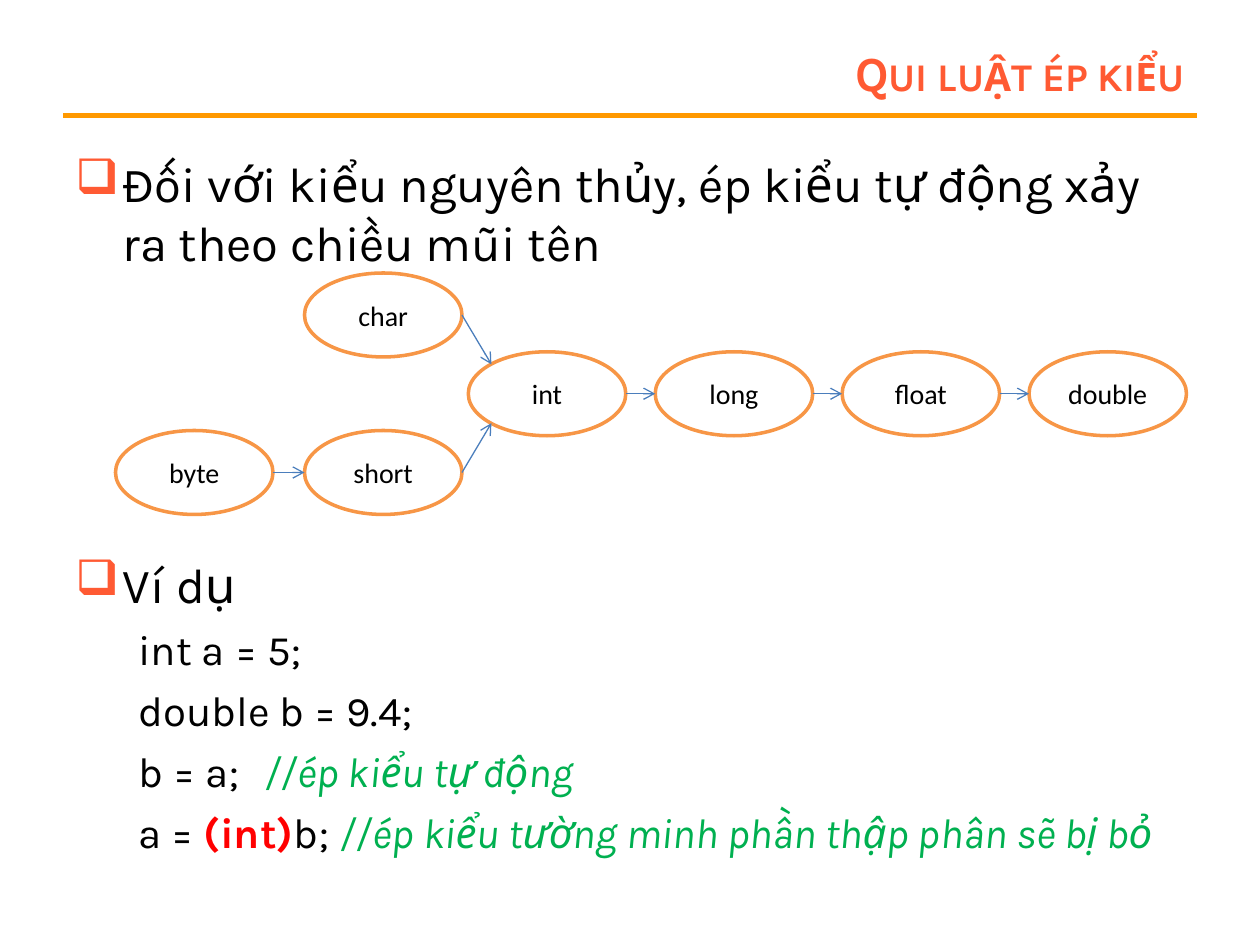
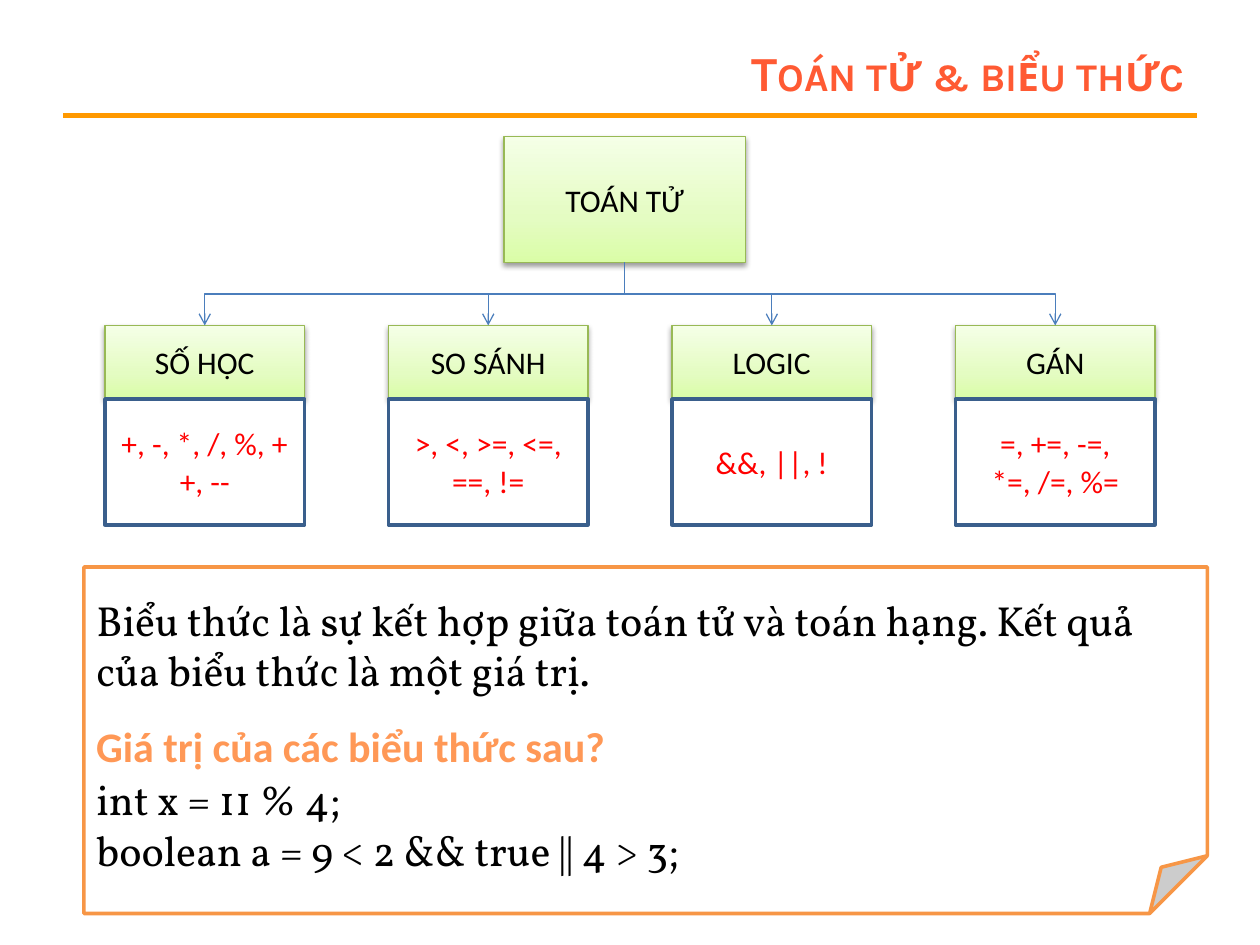
from dataclasses import dataclass
from math import sqrt
from lxml import etree
from pptx import Presentation
from pptx import util as u
from pptx.dml import color
from pptx.enum import shapes, text
from pptx.oxml import ns

SCALE = 7620
WIDE, HIGH = 1200, 900
BLACK, WHITE, RED, GREEN = "000000", "FFFFFF", "FF0000", "00B050"
CORAL, GOLD, ORANGE, BLUE = "FF5A33", "FF9900", "F79646", "4B7EBC"
LIME, NAVY = "98B955", "3A5F8C"
LEAF = [(0, "DAFDA7"), (35, "E4FCC2"), (100, "F5FFE7")]
AMBER = [(0, "9D4700"), (78, "FF9856"), (100, "FFF5F1")]
SANS, HEAD, SERIF = "Calibri", "Karla", "Vollkorn"
KIND = shapes.MSO_SHAPE
LINK = shapes.MSO_CONNECTOR
ALIGN = text.PP_ALIGN
MID = text.MSO_ANCHOR.MIDDLE


@dataclass(frozen=True)
class Box:
    x: int
    y: int
    w: int
    h: int

    def spot(self, across: float, down: float) -> tuple[int, int]:
        return (round(self.x + self.w * (1 + across) / 2),
                round(self.y + self.h * (1 + down) / 2))


@dataclass(frozen=True)
class Bit:
    words: str
    tint: str = BLACK
    bold: bool = False
    slant: bool = False


@dataclass(frozen=True)
class Para:
    bits: tuple[Bit, ...]
    size: int = 24
    bullet: bool = False
    space: int = 6
    tab: int = 0


@dataclass(frozen=True)
class Node:
    name: str
    box: Box


@dataclass(frozen=True)
class Group:
    name: str
    signs: str


def px(n: int) -> int:
    return u.Emu(n * SCALE)


def rgb(code: str) -> color.RGBColor:
    return color.RGBColor.from_string(code)


def add_tag(host, name: str, **attrs):
    return etree.SubElement(host, ns.qn(name), attrs)


def style(run, size: int, font: str, tint: str = BLACK,
          bold: bool = False, slant: bool = False) -> None:
    f = run.font
    f.size, f.name, f.bold, f.italic = u.Pt(size), font, bold, slant
    f.color.rgb = rgb(tint)


def blend(fill, host, stops: list[tuple[int, str]], angle: int) -> None:
    fill.gradient()
    fill.gradient_angle = angle
    ramp = next(host.iter(ns.qn("a:gsLst")))
    for stop in list(ramp):
        ramp.remove(stop)
    for pos, tint in stops:
        stop = add_tag(ramp, "a:gs", pos=str(pos * 1000))
        add_tag(stop, "a:srgbClr", val=tint)


def draw(slide, kind, box: Box, edge: str, width: float, words: str = "",
         size: int = 18, tint: str = BLACK):
    shape = slide.shapes.add_shape(kind, px(box.x), px(box.y), px(box.w), px(box.h))
    shape.shadow.inherit = False
    shape.fill.solid()
    shape.fill.fore_color.rgb = rgb(WHITE)
    shape.line.color.rgb = rgb(edge)
    shape.line.width = u.Pt(width)
    if words:
        frame = shape.text_frame
        frame.word_wrap = True
        frame.vertical_anchor = MID
        frame.text = words
        para = frame.paragraphs[0]
        para.alignment = ALIGN.CENTER
        style(para.runs[0], size, SANS, tint)
    return shape


def leaf(slide, box: Box, words: str) -> None:
    shape = draw(slide, KIND.RECTANGLE, box, LIME, 0.75, words)
    props = shape.element.spPr
    blend(shape.fill, props, LEAF, 90)
    shade = add_tag(props.find(ns.qn("a:effectLst")), "a:outerShdw",
                    blurRad=str(u.Pt(3.1)), dist=str(u.Pt(1.6)),
                    dir="5400000", rotWithShape="0")
    tint = add_tag(shade, "a:srgbClr", val=BLACK)
    add_tag(tint, "a:alpha", val="38000")


def join(slide, start: tuple[int, int], end: tuple[int, int], kind=LINK.STRAIGHT,
         tint: str = BLUE, width: float = 0.75, head: bool = True):
    line = slide.shapes.add_connector(kind, *map(px, start + end))
    line.line.color.rgb = rgb(tint)
    line.line.width = u.Pt(width)
    props = line.element.spPr
    if head:
        add_tag(props.find(ns.qn("a:ln")), "a:tailEnd", type="arrow")
    add_tag(props, "a:effectLst")
    return line


def branch(slide, start: tuple[int, int], end: tuple[int, int]) -> None:
    (x1, y1), (x2, y2) = start, end
    mid_x, mid_y = (x1 + x2) // 2, (y1 + y2) // 2
    rise, reach = (y2 - y1) // 2, abs(x2 - x1) // 2
    side = 1 if x2 < x1 else -1
    line = join(slide, (mid_x - side * rise, mid_y - reach),
                (mid_x + side * rise, mid_y + reach), LINK.ELBOW)
    turn = 5400000 if side == 1 else 16200000
    line.element.spPr.find(ns.qn("a:xfrm")).set("rot", str(turn))


def note(slide, box: Box, words: str, size: int, font: str, wrap: bool = True,
         align=ALIGN.LEFT, tint: str = BLACK, bold: bool = False):
    shape = slide.shapes.add_textbox(px(box.x), px(box.y), px(box.w), px(box.h))
    frame = shape.text_frame
    frame.text = words
    frame.word_wrap = wrap
    for para in frame.paragraphs:
        para.alignment = align
        for run in para.runs:
            style(run, size, font, tint, bold)
    return frame


def start(deck, title: str):
    slide = deck.slides.add_slide(deck.slide_layouts[6])
    join(slide, (60, 110), (1140, 110), tint=GOLD, width=3, head=False)
    frame = note(slide, Box(270, 36, 870, 64), title, 28, HEAD,
                 align=ALIGN.RIGHT, tint=CORAL, bold=True)
    frame.vertical_anchor = MID
    frame.paragraphs[0].runs[0].font._element.set("cap", "small")
    return slide


def write(para, item: Para) -> None:
    para.space_before = u.Pt(item.space)
    props = para._p.get_or_add_pPr()
    left, hang = (45, -45) if item.bullet else (60, 0)
    props.set("marL", str(px(left)))
    props.set("indent", str(px(hang)))
    if item.bullet:
        add_tag(add_tag(props, "a:buClr"), "a:srgbClr", val=CORAL)
        add_tag(props, "a:buChar", char="❑")
    else:
        add_tag(props, "a:buNone")
    if item.tab:
        tabs = add_tag(props, "a:tabLst")
        add_tag(tabs, "a:tab", pos=str(px(item.tab)), algn="l")
    for bit in item.bits:
        run = para.add_run()
        run.text = bit.words
        style(run, item.size, HEAD, bit.tint, bit.bold, bit.slant)


BODY = [
    Para((Bit("Đối với kiểu nguyên thủy, ép kiểu tự động xảy ra theo chiều mũi tên"),),
         28, True),
    Para((Bit("Ví dụ"),), 28, True, 162),
    Para((Bit("int a = 5;"),)),
    Para((Bit("double b = 9.4;"),)),
    Para((Bit("b = a;\t"), Bit("//ép kiểu tự động", GREEN, slant=True)), tab=184),
    Para((Bit("a = "), Bit("(int)", RED, bold=True), Bit("b; "),
          Bit("//ép kiểu tường minh phần thập phân sẽ bị bỏ", GREEN, slant=True))),
]

CHAIN = ["int", "long", "float", "double"]
NODES = [
    Node("char", Box(290, 260, 150, 80)),
    Node("short", Box(290, 410, 150, 80)),
    Node("byte", Box(110, 410, 150, 80)),
] + [Node(name, Box(446 + 178 * i, 335, 150, 80)) for i, name in enumerate(CHAIN)]

GROUPS = [
    Group("SỐ HỌC", "+, -, *, /, %, ++, --"),
    Group("SO SÁNH", ">, <, >=, <=, ==, !="),
    Group("LOGIC", "&&, ||, !"),
    Group("GÁN", "=, +=, -=, *=, /=, %="),
]


def casts(deck) -> None:
    slide = start(deck, "Qui luật ép kiểu")
    frame = note(slide, Box(60, 140, 1080, 690), "", 28, HEAD)
    for i, item in enumerate(BODY):
        write(frame.add_paragraph() if i else frame.paragraphs[0], item)
    for node in NODES:
        draw(slide, KIND.OVAL, node.box, ORANGE, 2, node.name, 16)
    spots = {node.name: node.box for node in NODES}
    for left, right in [("byte", "short"), *zip(CHAIN, CHAIN[1:])]:
        join(slide, spots[left].spot(1, 0), spots[right].spot(-1, 0))
    slope = 1 / sqrt(2)
    for name, down in [("char", -slope), ("short", slope)]:
        join(slide, spots[name].spot(1, 0), spots["int"].spot(-slope, down))


def signs(deck) -> None:
    slide = start(deck, "Toán tử & biểu thức")
    draw(slide, KIND.FOLDED_CORNER, Box(80, 540, 1070, 330), ORANGE, 2)
    root = Box(480, 130, 230, 120)
    leaf(slide, root, "TOÁN TỬ")
    for i, group in enumerate(GROUPS):
        top = Box(100 + 270 * i, 310, 190, 70)
        leaf(slide, top, group.name)
        draw(slide, KIND.RECTANGLE, Box(top.x, top.y + top.h, top.w, 120),
             NAVY, 2, group.signs, tint=RED)
        branch(slide, root.spot(0, 1), top.spot(0, -1))
    note(slide, Box(80, 560, 1026, 109),
         "Biểu thức là sự kết hợp giữa toán tử và toán hạng. "
         "Kết quả của biểu thức là một giá trị.", 24, SERIF)
    note(slide, Box(80, 731, 1030, 109),
         "int x = 11 % 4;\nboolean a = 9 < 2 && true || 4 > 3;", 24, SERIF)
    frame = note(slide, Box(77, 680, 514, 60), "Giá trị của các biểu thức sau?",
                 24, SANS, False, ALIGN.CENTER, bold=True)
    font = frame.paragraphs[0].runs[0].font
    blend(font.fill, font._element, AMBER, 270)


def main() -> None:
    deck = Presentation()
    deck.slide_width, deck.slide_height = px(WIDE), px(HIGH)
    casts(deck)
    signs(deck)
    deck.save("out.pptx")


if __name__ == "__main__":
    main()
